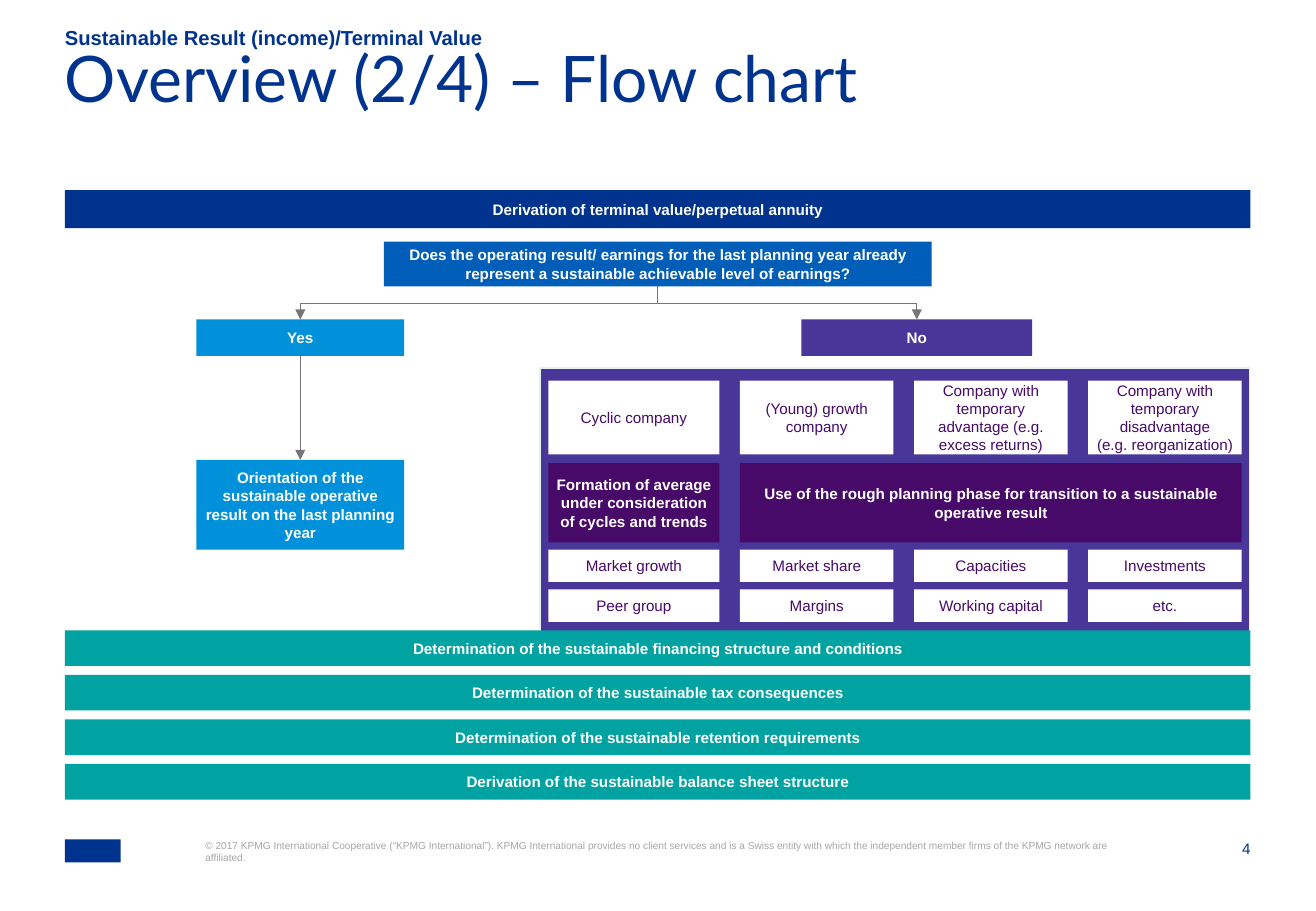
from lxml.etree import SubElement
from pptx import Presentation
from pptx.dml.color import RGBColor
from pptx.enum.shapes import MSO_CONNECTOR as LINK, MSO_SHAPE as SHAPE
from pptx.enum.text import MSO_ANCHOR as ANCHOR, MSO_AUTO_SIZE as FIT, PP_ALIGN as ALIGN
from pptx.oxml.ns import qn
from pptx.util import Pt

NAVY = RGBColor(0x00, 0x33, 0x8D)
BLUE = RGBColor(0x00, 0x5E, 0xB8)
SKY = RGBColor(0x00, 0x91, 0xDA)
VIOLET = RGBColor(0x48, 0x36, 0x98)
PLUM = RGBColor(0x47, 0x0A, 0x68)
TEAL = RGBColor(0x00, 0xA3, 0xA1)
WHITE = RGBColor(0xFF, 0xFF, 0xFF)
PALE = RGBColor(0xE5, 0xF2, 0xF4)
GRAY = RGBColor(0x74, 0x76, 0x78)
LIGHT_GRAY = RGBColor(0xA6, 0xA6, 0xA6)

# Content
SECTION = "Sustainable Result (income)/Terminal Value"
TITLE = "Overview (2/4) – Flow chart"
HEADING = "Derivation of terminal value/perpetual annuity"
QUESTION = ("Does the operating result/ earnings for the last planning year already "
            "represent a sustainable achievable level of earnings?")
YES_RESULT = "Orientation of the sustainable operative result on the last planning year"
COMPANIES = ["Cyclic company", "(Young) growth company",
             "Company with temporary advantage (e.g. excess returns)",
             "Company with temporary disadvantage\n(e.g. reorganization)"]
AVERAGE = "Formation of average under consideration of cycles and trends"
TRANSITION = "Use of the rough planning phase for transition to a sustainable operative result"
FACTORS = [["Market growth", "Market share", "Capacities", "Investments"],
           ["Peer group", "Margins", "Working capital", "etc."]]
STEPS = ["Determination of the sustainable financing structure and conditions",
         "Determination of the sustainable tax consequences",
         "Determination of the sustainable retention requirements",
         "Derivation of the sustainable balance sheet structure"]
COPYRIGHT = ("© 2017 KPMG International Cooperative (“KPMG International”). KPMG International "
             "provides no client services and is a Swiss entity with which the independent "
             "member firms of the KPMG network are affiliated.")
PAGE_NUMBER = "4"

# Layout in points
LEFT, WIDTH = 38.4, 702.8
FOOTER_TOP = 497.5
QUESTION_AT = (227.6, 143.2, 324.6, 26.6)
YES_AT = (116.4, 189.4, 123.2, 21.6)
NO_AT = (475, 189.4, 136.8, 21.6)
YES_RESULT_AT = (116.4, 272.6, 123.2, 53.2)
PANEL_AT = (320, 218, 420.6, 160)
COLUMNS = [(325, 101.4)] + [(438.6 + 103.2 * step, 91) for step in range(3)]
COMPANY_TOP, COMPANY_HEIGHT = 225.6, 43.7
METHOD_TOP, METHOD_HEIGHT = 274.6, 47
FACTOR_TOP, FACTOR_PITCH, FACTOR_HEIGHT = 325.8, 23.6, 19.2
STEP_TOP, STEP_PITCH, STEP_HEIGHT = 373.7, 26.4, 21.1

deck = Presentation()
deck.slide_width, deck.slide_height = Pt(780), Pt(540)
page = deck.slides.add_slide(deck.slide_layouts[1])


def write(box, text, size=9, color=WHITE, bold=False, font="Arial", align=ALIGN.CENTER,
          anchor=ANCHOR.MIDDLE, inset=(0, 0), spacing=None, plain_list=False):
    frame = box.text_frame
    frame.word_wrap = True
    frame.auto_size = FIT.NONE
    frame.vertical_anchor = anchor
    frame.margin_left = frame.margin_right = Pt(inset[0])
    frame.margin_top = frame.margin_bottom = Pt(inset[1])
    para = frame.paragraphs[0]
    para.text = text
    para.alignment = align
    para.space_before = Pt(0)
    if spacing:
        para.line_spacing = spacing
    if plain_list:
        properties = para._p.get_or_add_pPr()
        properties.set("marL", "0")
        properties.set("indent", "0")
        SubElement(properties, qn("a:buNone"))
    for span in para.runs:
        span.font.name = font
        span.font.size = Pt(size)
        span.font.bold = bold
        span.font.color.rgb = color


def place(box, left, top, width, height):
    box.left, box.top, box.width, box.height = Pt(left), Pt(top), Pt(width), Pt(height)


def add_box(area, fill, text="", outline=None, inset=(4.3, 4.3), **style):
    box = page.shapes.add_shape(SHAPE.RECTANGLE, *map(Pt, area))
    box.shadow.inherit = False
    box.fill.solid()
    box.fill.fore_color.rgb = fill
    if outline:
        box.line.color.rgb = outline
        box.line.width = Pt(1)
    else:
        box.line.fill.background()
    if text:
        write(box, text, inset=inset, **style)


def add_label(area, text, **style):
    write(page.shapes.add_textbox(*map(Pt, area)), text, anchor=ANCHOR.TOP, **style)


def add_arrow(start, end):
    """Draw a downward arrow, bent halfway when the ends are not aligned."""
    (x1, y1), (x2, y2) = start, end
    if x1 == x2:
        arrow = page.shapes.add_connector(LINK.STRAIGHT, *map(Pt, (x1, y1, x2, y2)))
    else:
        # An elbow leaves sideways, so it is laid out flat and then turned.
        middle_x, middle_y = (x1 + x2) / 2, (y1 + y2) / 2
        half_width, half_height = (y2 - y1) / 2, abs(x2 - x1) / 2
        side = 1 if x2 < x1 else -1
        arrow = page.shapes.add_connector(
            LINK.ELBOW,
            Pt(middle_x - side * half_width), Pt(middle_y - half_height),
            Pt(middle_x + side * half_width), Pt(middle_y + half_height))
        turn = 90 if side == 1 else 270
        arrow._element.spPr.find(qn("a:xfrm")).set("rot", str(turn * 60000))
    arrow.line.color.rgb = GRAY
    arrow.line.width = Pt(0.5)
    SubElement(arrow.line._get_or_add_ln(), qn("a:tailEnd"), type="triangle")
    SubElement(arrow._element.spPr, qn("a:effectLst"))


def top_center(area):
    return area[0] + area[2] / 2, area[1]


def bottom_center(area):
    return area[0] + area[2] / 2, area[1] + area[3]


# Titles and footer
title, section = page.shapes.title, page.placeholders[1]
place(title, LEFT, 35.3, WIDTH, 56.9)
write(title, TITLE, size=38, color=NAVY, font="Lato", align=ALIGN.LEFT,
      anchor=ANCHOR.TOP, spacing=0.7)
place(section, LEFT, 15.8, 676.8, 13.7)
write(section, SECTION, size=12, color=NAVY, bold=True, align=ALIGN.LEFT,
      anchor=ANCHOR.BOTTOM, plain_list=True)
add_box((LEFT, FOOTER_TOP, 33.1, 13.7), NAVY)
add_label((121.7, FOOTER_TOP, 539.3, 29.5), COPYRIGHT, size=6, color=LIGHT_GRAY,
          align=ALIGN.LEFT)
add_label((710.2, FOOTER_TOP, 31, 11.5), PAGE_NUMBER, color=NAVY, align=ALIGN.RIGHT)

# Question and answers
add_box((LEFT, 112.8, WIDTH, 22.5), NAVY, HEADING, bold=True)
add_box(PANEL_AT, VIOLET, outline=PALE)
add_box(QUESTION_AT, BLUE, QUESTION, bold=True, inset=(7.2, 3.6))
add_box(YES_AT, SKY, "Yes", bold=True)
add_box(NO_AT, VIOLET, "No", bold=True)
add_box(YES_RESULT_AT, SKY, YES_RESULT, bold=True)
for source, target in [(QUESTION_AT, YES_AT), (QUESTION_AT, NO_AT), (YES_AT, YES_RESULT_AT)]:
    add_arrow(bottom_center(source), top_center(target))

# Company panel
grid = [(COMPANY_TOP, COMPANY_HEIGHT, COMPANIES)]
grid += [(FACTOR_TOP + FACTOR_PITCH * row, FACTOR_HEIGHT, names)
         for row, names in enumerate(FACTORS)]
for top, height, names in grid:
    for (left, width), name in zip(COLUMNS, names):
        add_box((left, top, width, height), WHITE, name, color=PLUM, inset=(2.9, 4.3)
                if "\n" in name else (4.3, 4.3))
transition_left = COLUMNS[1][0]
transition_width = sum(COLUMNS[-1]) - transition_left
for (left, width), method in [(COLUMNS[0], AVERAGE),
                              ((transition_left, transition_width), TRANSITION)]:
    add_box((left, METHOD_TOP, width, METHOD_HEIGHT), PLUM, method, bold=True)

# Following steps
for row, step in enumerate(STEPS):
    add_box((LEFT, STEP_TOP + STEP_PITCH * row, WIDTH, STEP_HEIGHT), TEAL, step, bold=True)

deck.save("out.pptx")
